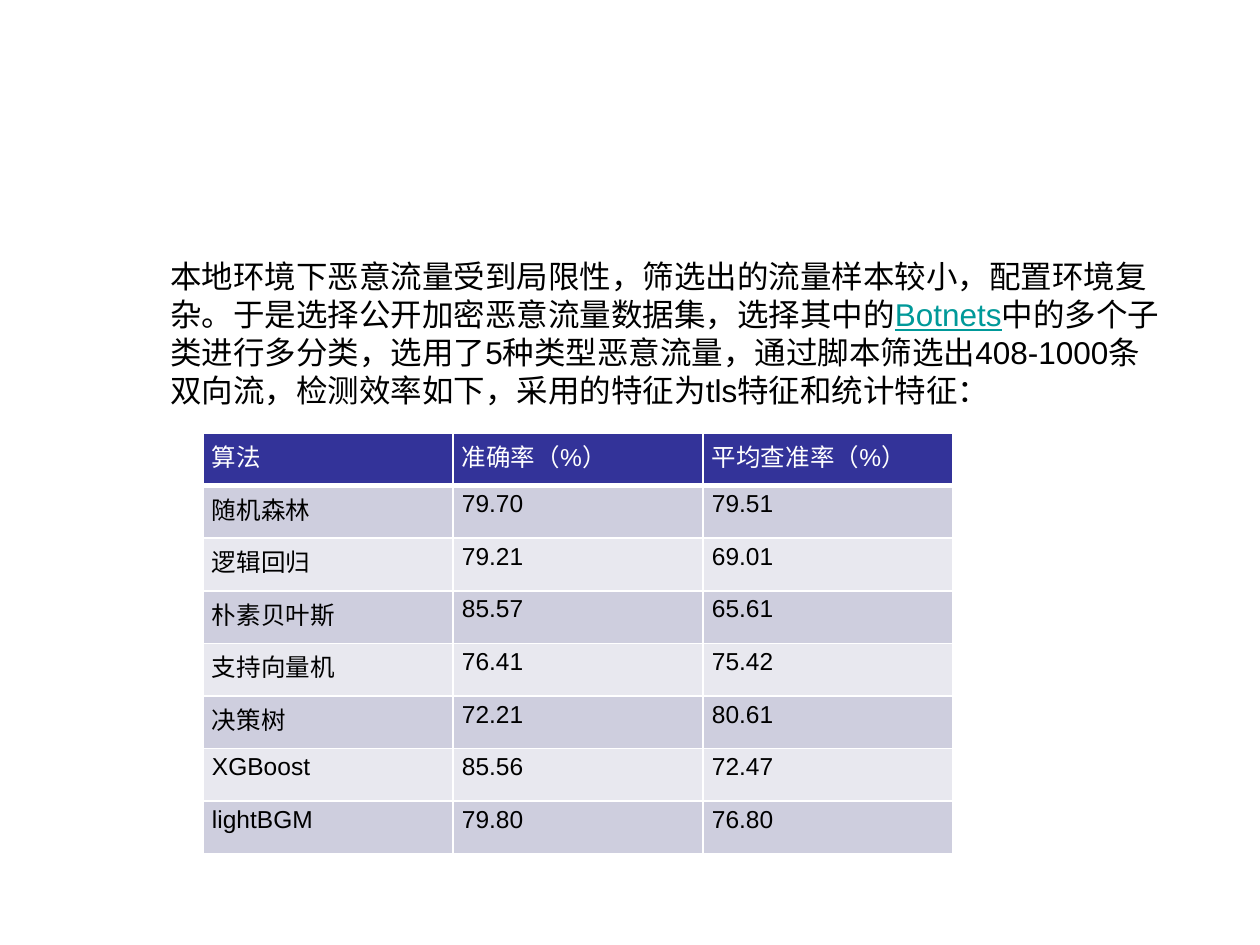
from typing import NamedTuple

from lxml import etree
from pptx import Presentation
from pptx.dml.color import RGBColor
from pptx.enum.text import MSO_ANCHOR
from pptx.oxml.ns import qn
from pptx.util import Emu, Pt

EMU_PER_PX = 914400 / 126
FONT = "Arial"
ANCHOR_TOP = MSO_ANCHOR.TOP
BLANK_LAYOUT = 6

BLACK = RGBColor(0x00, 0x00, 0x00)
WHITE = RGBColor(0xFF, 0xFF, 0xFF)
LINK_TEAL = RGBColor(0x00, 0x99, 0x99)
HEADER_BLUE = RGBColor(0x33, 0x33, 0x99)
BAND_DARK = RGBColor(0xCE, 0xCE, 0xDE)
BAND_LIGHT = RGBColor(0xE8, 0xE8, 0xEF)


class Area(NamedTuple):
    left: int
    top: int
    width: int
    height: int


class Result(NamedTuple):
    algorithm: str
    accuracy: str
    precision: str


INTRO_AREA = Area(158, 251, 1022, 242)
TABLE_AREA = Area(203, 433, 750, 421)

HEADER = Result("算法", "准确率（%）", "平均查准率（%）")
RESULTS = [
    Result("随机森林", "79.70", "79.51"),
    Result("逻辑回归", "79.21", "69.01"),
    Result("朴素贝叶斯", "85.57", "65.61"),
    Result("支持向量机", "76.41", "75.42"),
    Result("决策树", "72.21", "80.61"),
    Result("XGBoost", "85.56", "72.47"),
    Result("lightBGM", "79.80", "76.80"),
]


def px(length: int) -> Emu:
    return Emu(round(length * EMU_PER_PX))


def add_span(para, text: str, *, size: int, color: RGBColor = BLACK,
             underline: bool = False) -> None:
    span = para.add_run()
    span.text = text
    span.font.name = FONT
    span.font.size = Pt(size)
    span.font.color.rgb = color
    span.font.underline = underline


def add_intro(page) -> None:
    box = page.shapes.add_textbox(*map(px, INTRO_AREA))
    box.text_frame.word_wrap = True
    para = box.text_frame.paragraphs[0]
    add_span(para, "本地环境下恶意流量受到局限性，筛选出的流量样本较小，配置环境复杂。"
                   "于是选择公开加密恶意流量数据集，选择其中的", size=18)
    add_span(para, "Botnets", size=18, color=LINK_TEAL, underline=True)
    add_span(para, "中的多个子类进行多分类，选用了5种类型恶意流量，"
                   "通过脚本筛选出408-1000条双向流，检测效率如下，"
                   "采用的特征为tls特征和统计特征：", size=18)


def set_borders(cell, *, color: RGBColor, bottom: int = 1) -> None:
    """Draw 1 pt cell borders, with the bottom one as thick as asked."""
    properties = cell._tc.get_or_add_tcPr()
    for side, width in (("L", 1), ("R", 1), ("T", 1), ("B", bottom)):
        line = etree.SubElement(properties, qn(f"a:ln{side}"), w=str(Pt(width)))
        fill = etree.SubElement(line, qn("a:solidFill"))
        etree.SubElement(fill, qn("a:srgbClr"), val=str(color))


def format_cell(cell, text: str, *, fill: RGBColor, color: RGBColor, bottom: int) -> None:
    set_borders(cell, color=WHITE, bottom=bottom)
    cell.fill.solid()
    cell.fill.fore_color.rgb = fill
    cell.margin_left = cell.margin_right = px(9)
    cell.margin_top = cell.margin_bottom = px(5)
    cell.vertical_anchor = ANCHOR_TOP
    add_span(cell.text_frame.paragraphs[0], text, size=14, color=color)


def add_results_table(page) -> None:
    rows = [HEADER, *RESULTS]
    table = page.shapes.add_table(len(rows), len(HEADER), *map(px, TABLE_AREA)).table
    for row, result in enumerate(rows):
        is_header = row == 0
        band = BAND_DARK if row % 2 else BAND_LIGHT
        for column, text in enumerate(result):
            format_cell(table.cell(row, column), text,
                        fill=HEADER_BLUE if is_header else band,
                        color=WHITE if is_header else BLACK,
                        bottom=3 if is_header else 1)


def main() -> None:
    deck = Presentation()
    deck.slide_width, deck.slide_height = px(1260), px(945)
    page = deck.slides.add_slide(deck.slide_layouts[BLANK_LAYOUT])
    add_intro(page)
    add_results_table(page)
    deck.save("out.pptx")


if __name__ == "__main__":
    main()
